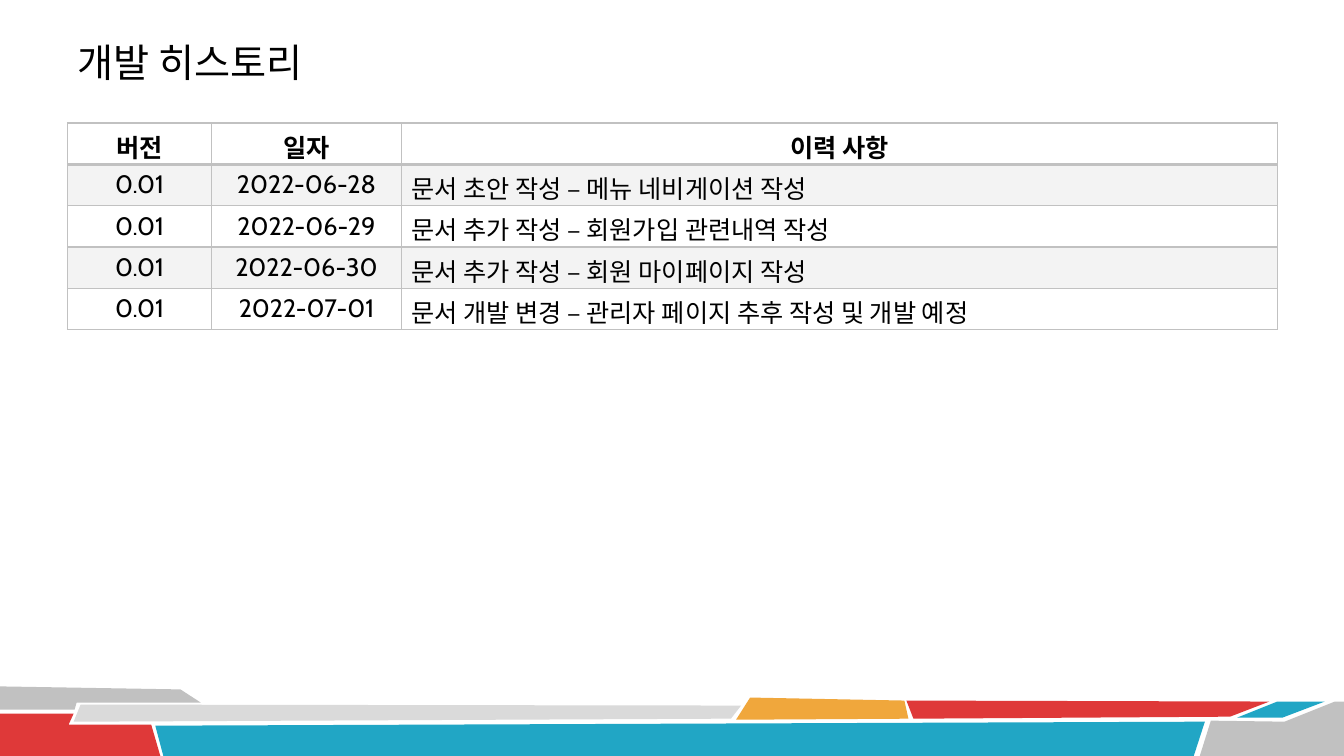
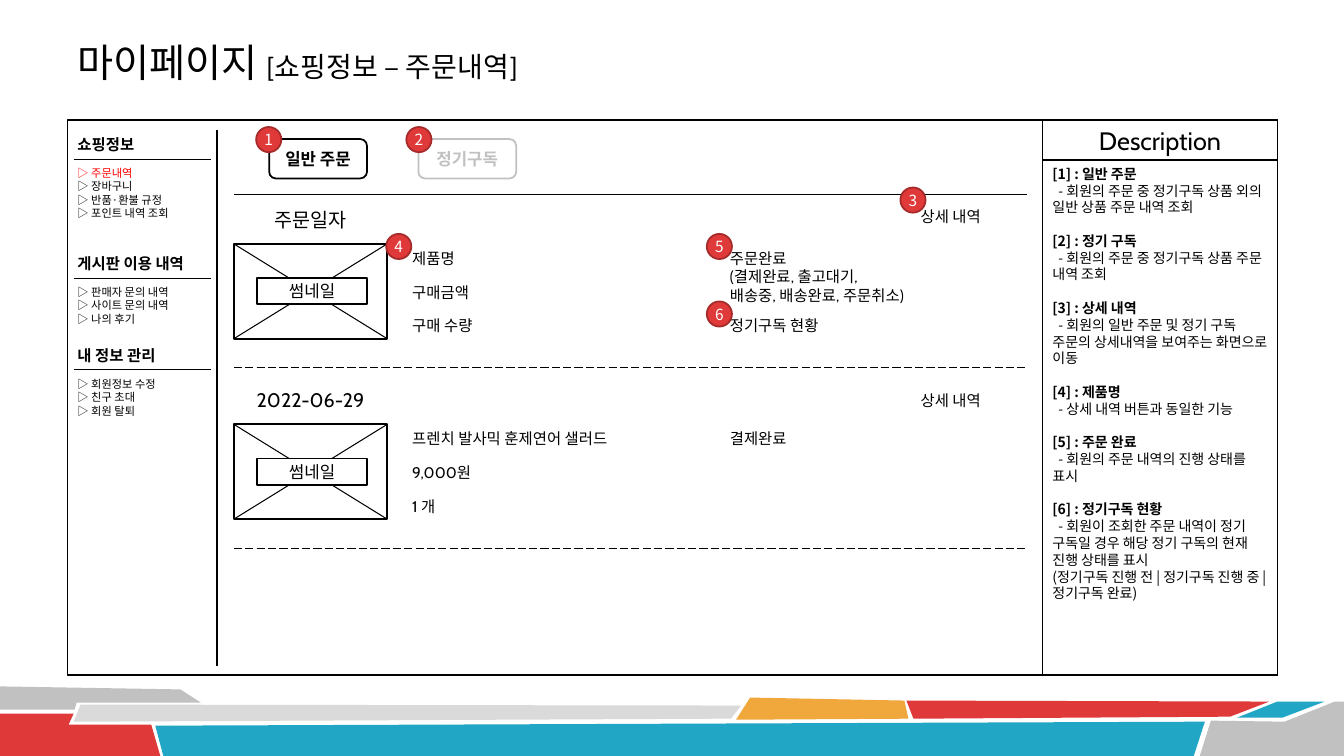
from lxml import etree
from pptx import Presentation
from pptx import util as u
from pptx.dml.color import RGBColor
from pptx.enum import dml, shapes, text
from pptx.oxml.ns import qn

PX = 9144  # 100 px to the inch
WIDE, HIGH = 1333, 750
HUE = {"ink": "000000", "paper": "FFFFFF", "grey": "C1C1C1", "pale": "DADADA",
       "stripe": "F3F3F3", "red": "DF3939", "rim": "A52A2A", "blue": "21A6C5",
       "gold": "F0A73C", "hot": "FF0000"}
NOTO, CABIN, TITLE = "Noto Sans CJK KR", "Cabin", "Calibri"
MID, TOP = text.MSO_ANCHOR.MIDDLE, text.MSO_ANCHOR.TOP
BOX = shapes.MSO_SHAPE.RECTANGLE
ROUND = shapes.MSO_SHAPE.ROUNDED_RECTANGLE
OVAL = shapes.MSO_SHAPE.OVAL

# Footer bands: colour and corner points
BANDS = [
    ("grey", [(0, 681), (179, 684), (199, 697), (76, 697), (74, 704), (0, 704)]),
    ("red", [(0, 708), (73, 708), (68, 719), (150, 719), (159, 750), (0, 750)]),
    ("pale", [(80, 699), (735, 700), (725, 713), (73, 716)]),
    ("blue", [(154, 720), (1195, 716), (1184, 750), (162, 750)]),
    ("gold", [(744, 692), (897, 695), (901, 713), (730, 714)]),
    ("red", [(899, 695), (1259, 696), (1220, 711), (906, 713)]),
    ("blue", [(1267, 696), (1314, 696), (1272, 712), (1227, 712)]),
    ("grey", [(1201, 715), (1274, 716), (1324, 696), (1333, 696), (1333, 750), (1190, 750)]),
]

# Slide 1
COLS = [143, 188, 869]
LOG = [
    ("버전", "일자", "이력 사항"),
    ("0.01", "2022-06-28", "문서 초안 작성 – 메뉴 네비게이션 작성"),
    ("0.01", "2022-06-29", "문서 추가 작성 – 회원가입 관련내역 작성"),
    ("0.01", "2022-06-30", "문서 추가 작성 – 회원 마이페이지 작성"),
    ("0.01", "2022-07-01", "문서 개발 변경 – 관리자 페이지 추후 작성 및 개발 예정"),
]

# Slide 2
MENU = [
    (129, "쇼핑정보", ["주문내역", "장바구니", "반품·환불 규정", "포인트 내역 조회"]),
    (247, "게시판 이용 내역", ["판매자 문의 내역", "사이트 문의 내역", "나의 후기"]),
    (338, "내 정보 관리", ["회원정보 수정", "친구 초대", "회원 탈퇴"]),
]
ACTIVE = "주문내역"
TABS = [(267, "일반 주문", "ink"), (415, "정기구독", "grey")]
ORDERS = [
    {"top": 242, "date": "주문일자", "link": 201,
     "facts": ["제품명", "구매금액", "구매 수량"],
     "state": [(0, ["주문완료", "(결제완료, 출고대기,", "배송중, 배송완료, 주문취소)"]),
               (67, ["정기구독 현황"])]},
    {"top": 421, "date": "2022-06-29", "link": 383,
     "facts": ["프렌치 발사믹 훈제연어 샐러드", "9,000원", "1 개"],
     "state": [(0, ["결제완료"])]},
]
BADGES = [(254, 126), (403, 126), (893, 186), (383, 232), (701, 232), (701, 299)]
NOTES = [
    ("일반 주문", ["- 회원의 주문 중 정기구독 상품 외의 일반 상품 주문 내역 조회"]),
    ("정기 구독", ["- 회원의 주문 중 정기구독 상품 주문 내역 조회"]),
    ("상세 내역", ["- 회원의 일반 주문 및 정기 구독 주문의 상세내역을 보여주는 화면으로 이동"]),
    ("제품명", ["- 상세 내역 버튼과 동일한 기능"]),
    ("주문 완료", ["- 회원의 주문 내역의 진행 상태를 표시"]),
    ("정기구독 현황", ["- 회원이 조회한 주문 내역이 정기 구독일 경우 해당 정기 구독의 현재 진행 상태를 표시",
                 "(정기구독 진행 전 | 정기구독 진행 중 | 정기구독 완료)"]),
]


def px(*nums):
    return [u.Emu(round(n * PX)) for n in nums]


def rgb(name):
    return RGBColor.from_string(HUE[name])


def put(frame, words, size=11, font=NOTO, hue="ink", bold=False, mid=False,
        gap=0, dent=0, tight=True, join=False):
    """Add one paragraph, or with join one run to the last paragraph."""
    para = frame.paragraphs[-1]
    if para.runs and not join:
        para = frame.add_paragraph()
    if not join:
        para.alignment = text.PP_ALIGN.CENTER if mid else text.PP_ALIGN.LEFT
        if tight:
            para.line_spacing = u.Pt(round(size * 1.2, 1))
        if gap:
            para.space_before = u.Pt(gap)
        if dent:
            para._p.get_or_add_pPr().set("indent", str(dent * PX))
    run = para.add_run()
    run.text = words
    face = run.font
    face.size, face.bold, face.name = u.Pt(size), bold, font
    face.color.rgb = rgb(hue)
    east = etree.SubElement(run._r.get_or_add_rPr(), qn("a:ea"))
    east.set("typeface", NOTO)


def area(slide, x, y, w, h, anchor=TOP):
    frame = slide.shapes.add_textbox(*px(x, y, w, h)).text_frame
    frame.word_wrap, frame.vertical_anchor = True, anchor
    return frame


def block(slide, kind, x, y, w, h, fill="paper", line="ink", anchor=MID):
    item = slide.shapes.add_shape(kind, *px(x, y, w, h))
    item.shadow.inherit = False
    if fill:
        item.fill.solid()
        item.fill.fore_color.rgb = rgb(fill)
    else:
        item.fill.background()
    item.line.color.rgb = rgb(line)
    item.line.width = u.Pt(1.25)
    item.text_frame.word_wrap = True
    item.text_frame.vertical_anchor = anchor
    return item.text_frame


def rule(slide, x, y, to_x, to_y, wide=0.75, dash=False):
    line = slide.shapes.add_connector(shapes.MSO_CONNECTOR.STRAIGHT, *px(x, y, to_x, to_y))
    line.line.color.rgb = rgb("ink")
    line.line.width = u.Pt(wide)
    if dash:
        line.line.dash_style = dml.MSO_LINE.LONG_DASH
    etree.SubElement(line._element.spPr, qn("a:effectLst"))


def page(deck, title, sub=None):
    """Start a slide with the shared bands and title."""
    slide = deck.slides.add_slide(deck.slide_layouts[6])
    for hue, pts in BANDS:
        pen = slide.shapes.build_freeform(*pts[0], scale=PX)
        pen.add_line_segments(pts[1:], close=True)
        band = pen.convert_to_shape()
        band.shadow.inherit = False
        band.fill.solid()
        band.fill.fore_color.rgb = rgb(hue)
        band.line.fill.background()
    head = area(slide, 67, 31, 1200, 61, MID)
    put(head, title, size=28, font=TITLE, tight=False)
    if sub:
        put(head, sub, size=20, font=TITLE, join=True)
    return slide


def edge(cell, side, wide):
    line = etree.SubElement(cell._tc.get_or_add_tcPr(), qn("a:" + side), w=str(u.Pt(wide)))
    fill = etree.SubElement(line, qn("a:solidFill"))
    etree.SubElement(fill, qn("a:srgbClr"), val=HUE["grey"])


def history(slide):
    grid = slide.shapes.add_table(len(LOG), len(COLS), *px(67, 122, sum(COLS), 41 * len(LOG))).table
    grid.first_row = grid.horz_banding = False
    for col, wide in zip(grid.columns, COLS):
        col.width = px(wide)[0]
    for r, row in enumerate(LOG):
        for c, words in enumerate(row):
            cell = grid.cell(r, c)
            put(cell.text_frame, words, size=18, font=CABIN, bold=r == 0,
                mid=r == 0 or c < 2, tight=False)
            for side in ("lnL", "lnR", "lnT", "lnB"):
                thick = (r, side) in ((0, "lnB"), (1, "lnT"))
                edge(cell, side, 2 if thick else 1)
            if r % 2:
                cell.fill.solid()
                cell.fill.fore_color.rgb = rgb("stripe")
            else:
                cell.fill.background()


def sidebar(slide):
    rule(slide, 215, 129, 215, 661, 1.25)
    for top, name, items in MENU:
        put(area(slide, 67, top, 149, 29), name, bold=True)
        rule(slide, 73, top + 29, 209, top + 29)
        frame = area(slide, 67, top + 31, 149, 10 + 13 * len(items))
        for item in items:
            put(frame, "▷ " + item, size=8, hue="hot" if item == ACTIVE else "ink")


def notes(slide):
    head = block(slide, BOX, 1034, 119, 233, 40, fill=None)
    put(head, "Description", size=18, font=CABIN, mid=True)
    frame = block(slide, BOX, 1034, 159, 233, 511, fill=None, anchor=TOP)
    for num, (name, lines) in enumerate(NOTES, 1):
        put(frame, f"[{num}] : {name}", size=10, bold=True, gap=12 if num > 1 else 0)
        for line in lines:
            put(frame, line, size=10, dent=6 if line.startswith("-") else 0)


def order(slide, top, date, link, facts, state):
    left, right, low = 232, 384, top + 94
    block(slide, BOX, left, top, right - left, 94)
    rule(slide, left, top, right, low)
    rule(slide, right, top, left, low)
    put(block(slide, BOX, 255, top + 34, 109, 26), "썸네일", size=12, font=CABIN, mid=True)
    put(area(slide, left, top - 41, 152, 34), date, size=14, font=CABIN, mid=True)
    put(area(slide, 867, link, 152, 29), "상세 내역", font=CABIN, mid=True)
    for n, fact in enumerate(facts):
        put(area(slide, 399, top + n * 67 / 2, 305, 29), fact, font=CABIN)
    for down, lines in state:
        frame = area(slide, 714, top + down, 305, 10 + 19 * len(lines))
        for line in lines:
            put(frame, line, font=CABIN)
    rule(slide, left, top + 123, 1019, top + 123, dash=True)


def main():
    deck = Presentation()
    deck.slide_width, deck.slide_height = px(WIDE, HIGH)

    history(page(deck, "개발 히스토리"))

    shop = page(deck, "마이페이지 ", "[쇼핑정보 – 주문내역]")
    block(shop, BOX, 67, 119, 1200, 551)
    notes(shop)
    sidebar(shop)
    for x, name, hue in TABS:
        put(block(shop, ROUND, x, 138, 97, 39, line=hue), name, size=12, hue=hue, bold=True, mid=True)
    rule(shop, 232, 193, 1019, 193)
    for data in ORDERS:
        order(shop, **data)
    # Numbered badges
    for num, (x, y) in enumerate(BADGES, 1):
        frame = block(shop, OVAL, x, y, 25, 25, fill="red", line="rim")
        frame.margin_left = frame.margin_right = frame.margin_top = frame.margin_bottom = 0
        put(frame, str(num), hue="paper", mid=True)

    deck.save("out.pptx")


if __name__ == "__main__":
    main()
